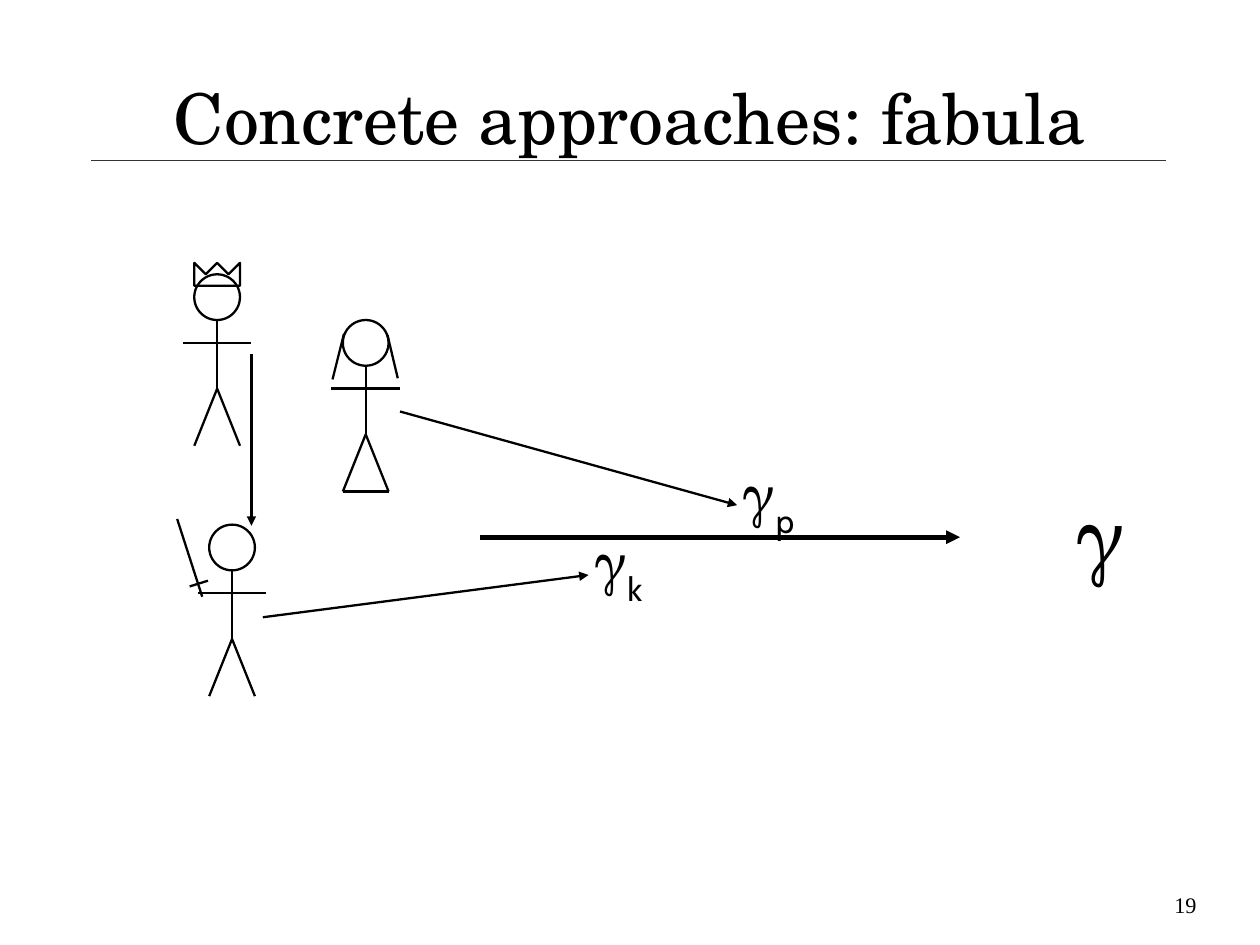
"""Build the slide on fabula approaches: three stick figures and their arrows."""
from lxml.etree import SubElement as Sub
from pptx import Presentation
from pptx.dml.color import RGBColor
from pptx.enum.shapes import MSO_CONNECTOR as Link, MSO_SHAPE as Shape
from pptx.enum.text import MSO_ANCHOR as Anchor, PP_ALIGN as Align
from pptx.oxml.ns import qn
from pptx.util import Pt

BLACK = RGBColor(0, 0, 0)
GREY = RGBColor(0x33, 0x33, 0x33)
SERIF, SANS, TIMES = "TeX Gyre Schola", "Cabin", "Times New Roman"
HAIRLINE, THIN, THICK = 0.01, 1.45, 2.89

TITLE = "Concrete approaches: fabula"
RULE = (57.6, 100.8, 734.4, 100.8)
KING, KNIGHT, LADY = (136.8, 187.2), (146.2, 344.9), (230.4, 216)
HEAD = 14.4
LIMBS = [
    (0, 57.6, -14.4, 93.6),
    (0, 57.6, 14.4, 93.6),
    (0, 57.6, 0, 14.4),
    (-21.6, 28.8, 21.6, 28.8),
]
CROWN = [(-14.4, -7.2), (-14.4, -21.6), (-7.2, -14.4), (0, -21.6),
         (7.2, -14.4), (14.4, -21.6), (14.4, -7.2)]
HAIR = [(-13.7, -5.8, -20.9, 23), (13.7, -5, 20.2, 22.3)]
HEM = (-14.4, 93.6, 14.4, 93.6)
SWORD = [(-18.8, 31, -34.6, -18), (-15.2, 20.9, -26.7, 24.5)]
ARROWS = [
    (302.4, 338.4, 604.8, 338.4, THICK),
    (252, 259.2, 464.4, 318.2, THIN),
    (165.6, 388.8, 370.8, 362.2, THIN),
    (158.4, 223.2, 158.4, 331.2, THIN),
]
LABELS = [
    ((676.8, 303.1, 28.1, 73.4), 54, Align.LEFT, [("γ", SERIF, 0)]),
    ((373.7, 331.2, 44, 64), 36, Align.LEFT, [("γ", SERIF, 0), ("k", SANS, -33)]),
    ((467.3, 288, 44, 64), 36, Align.LEFT, [("γ", SERIF, 0), ("p", SANS, -33)]),
    ((568.8, 561.6, 185, 21.6), 14, Align.RIGHT, [("19", TIMES, 0)]),
]


def stroke(shapes, ends, width=THIN, color=BLACK, arrow=False):
    line = shapes.add_connector(Link.STRAIGHT, *map(Pt, ends))
    line.line.color.rgb = color
    line.line.width = Pt(width)
    props = line._element.spPr
    if arrow:
        Sub(props.get_or_add_ln(), qn("a:tailEnd"), type="triangle")
    Sub(props, qn("a:effectLst"))


def outline(shape):
    shape.shadow.inherit = False
    shape.fill.background()
    shape.line.color.rgb = BLACK
    shape.line.width = Pt(THIN)


def person(shapes, spot, extras=()):
    x, y = spot
    group = shapes.add_group_shape().shapes
    for x1, y1, x2, y2 in [*LIMBS, *extras]:
        stroke(group, (x + x1, y + y1, x + x2, y + y2))
    box = (x - HEAD, y - HEAD, 2 * HEAD, 2 * HEAD)
    outline(group.add_shape(Shape.OVAL, *map(Pt, box)))
    return group


def crown(group, spot):
    x, y = spot
    first, *rest = [(Pt(x + dx), Pt(y + dy)) for dx, dy in CROWN]
    shape = group.build_freeform(*first)
    shape.add_line_segments(rest, close=True)
    outline(shape.convert_to_shape())


def trim(frame):
    frame.margin_left = frame.margin_right = 0
    frame.margin_top = frame.margin_bottom = 0
    frame.word_wrap = True


def label(shapes, box, size, align, runs):
    frame = shapes.add_textbox(*map(Pt, box)).text_frame
    trim(frame)
    para = frame.paragraphs[0]
    para.alignment = align
    para.font.size = Pt(size)
    para.font.color.rgb = BLACK
    for text, face, base in runs:
        run = para.add_run()
        run.text = text
        run.font.name = face
        if base:
            run._r.get_or_add_rPr().set("baseline", str(base * 1000))


def head(title):
    title.left, title.top, title.width, title.height = map(
        Pt, (39.6, 23.8, 714.2, 99.4))
    frame = title.text_frame
    frame.text = TITLE
    trim(frame)
    frame.vertical_anchor = Anchor.MIDDLE
    para = frame.paragraphs[0]
    para.alignment = Align.CENTER
    para.font.size = Pt(44)
    para.font.name = SERIF
    para.font.color.rgb = BLACK


def main():
    deck = Presentation()
    deck.slide_width, deck.slide_height = Pt(793.75), Pt(595.25)
    shapes = deck.slides.add_slide(deck.slide_layouts[5]).shapes
    head(shapes.title)
    stroke(shapes, RULE, HAIRLINE, GREY)
    crown(person(shapes, KING), KING)
    person(shapes, KNIGHT, SWORD)
    person(shapes, LADY, [*HAIR, HEM])
    for *ends, width in ARROWS:
        stroke(shapes, ends, width, arrow=True)
    for item in LABELS:
        label(shapes, *item)
    deck.save("out.pptx")


if __name__ == "__main__":
    main()
